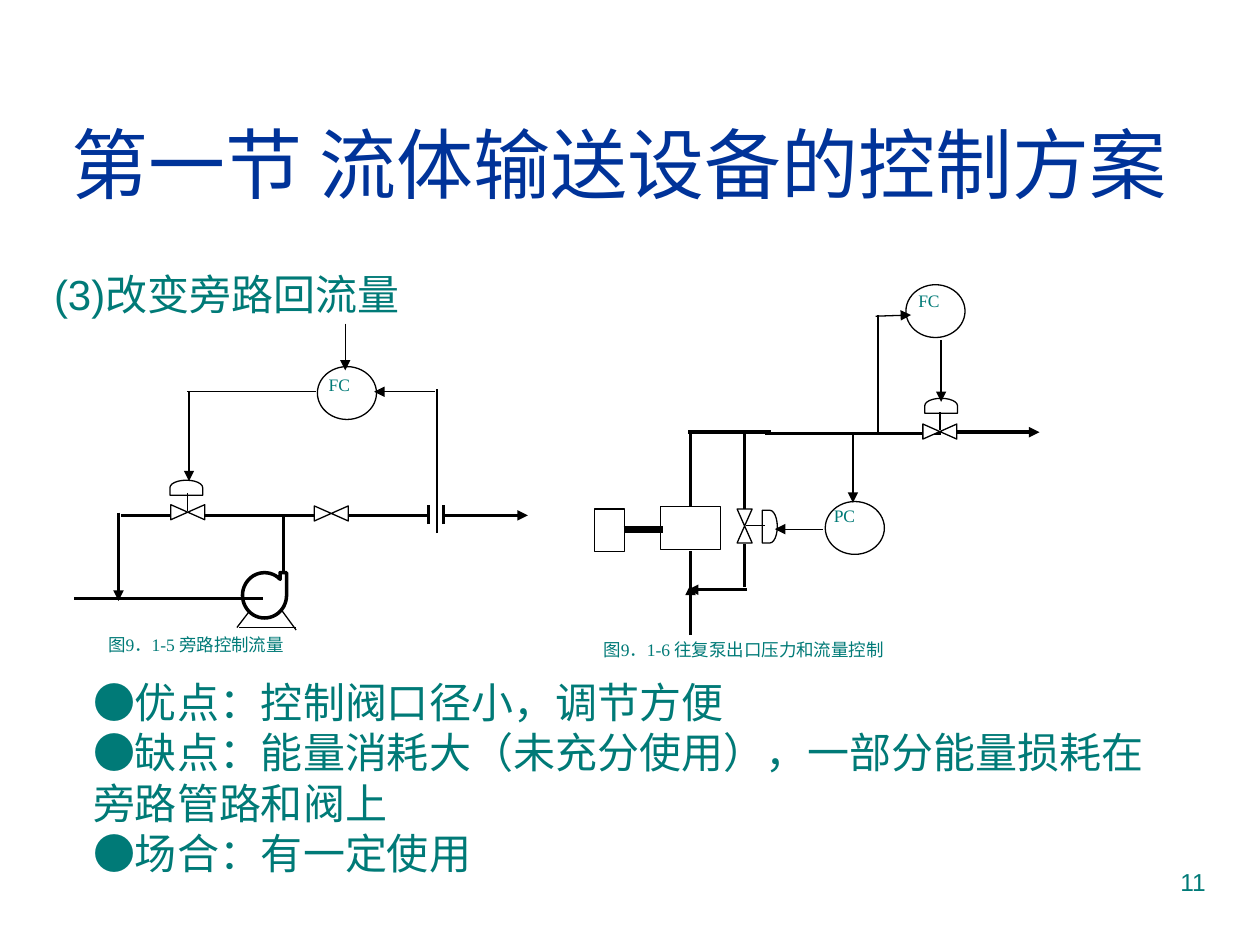
from lxml import etree
from pptx import Presentation
from pptx.dml.color import RGBColor
from pptx.enum.shapes import MSO_CONNECTOR, MSO_SHAPE
from pptx.enum.text import MSO_ANCHOR, MSO_AUTO_SIZE, PP_ALIGN
from pptx.oxml.ns import qn
from pptx.util import Pt

STRAIGHT = MSO_CONNECTOR.STRAIGHT
LEFT, CENTER, RIGHT = PP_ALIGN.LEFT, PP_ALIGN.CENTER, PP_ALIGN.RIGHT
COLORS = {"title": "003399", "text": "007A77", "line": "000000", "fill": "FFFFFF"}
SANS, SERIF = "Arial", "Times New Roman"
THIN, PIPE, SHAFT = 0.75, 2, 4

TITLE = "第一节 流体输送设备的控制方案"
HEADING = ["(3)改变旁路回流量"]
POINTS = [
    "●优点：控制阀口径小，调节方便",
    "●缺点：能量消耗大（未充分使用），一部分能量损耗在旁路管路和阀上",
    "●场合：有一定使用",
]

# kind: preset, width, height, line width
SYMBOLS = {
    "pump": (MSO_SHAPE.FLOWCHART_SEQUENTIAL_ACCESS_STORAGE, 25.9, 25.2, PIPE),
    "controller": (MSO_SHAPE.OVAL, 33.8, 30.2, THIN),
    "valve": (MSO_SHAPE.FLOWCHART_COLLATE, 8.6, 19.4, THIN),
    "actuator": (MSO_SHAPE.FLOWCHART_DELAY, 8.6, 18.7, THIN),
    "cylinder": (MSO_SHAPE.RECTANGLE, 34.6, 24.5, THIN),
    "motor": (MSO_SHAPE.RECTANGLE, 17.3, 24.5, THIN),
}

BYPASS_FIGURE = {
    "pipes": [
        (113, 294.5, 180.7, 294.5),
        (162, 295.2, 162, 326.9),
        (252.7, 294.5, 301.7, 294.5, "arrow"),
        (198.7, 294.5, 244.8, 294.5),
        (244.8, 299.5, 244.8, 288.7),
        (253.4, 299.5, 253.4, 288.7),
        (67.7, 293, 67.7, 343.4, "arrow"),
        (69.1, 294.5, 97.2, 294.5),
    ],
    "symbols": [
        ("pump", 138.2, 327.6, 270),
        ("controller", 181.4, 209.5, 0),
        ("valve", 103, 283, 90),
        ("actuator", 102.2, 269.3, 270),
        ("valve", 185, 283.7, 90),
    ],
    "front": (PIPE, (42.5, 342, 150.5, 342)),
    "signals": [
        (142.6, 349.2, 135.4, 358.6),
        (161.3, 349.2, 169.2, 360),
        (136.8, 358.6, 169.2, 358.6),
        (249.8, 304.6, 249.8, 222.5),
        (248.4, 223.9, 213.8, 223.9, "arrow"),
        (180.7, 223.9, 106.6, 223.9),
        (197.3, 185, 197.3, 211.7, "arrow"),
        (108, 223.9, 108, 275, "arrow"),
        (107.3, 292.3, 107.3, 281.5),
    ],
    "labels": [
        ("FC", 180.7, 210.2, 38.2, 36),
        ("图9．1-5 旁路控制流量", 54.7, 358.6, 211.7, 36.7),
    ],
}

RECIPROCATING_FIGURE = {
    "pipes": [
        (545, 247, 594, 247, "arrow"),
        (437, 247.7, 537.8, 247.7),
        (425.5, 294.5, 425.5, 246.2),
        (440.6, 247, 393.1, 247),
        (394.6, 362.9, 394.6, 334.1, "arrow"),
        (427, 337, 393.1, 337, "arrow"),
        (425.5, 335.5, 425.5, 311),
        (394.6, 335.5, 394.6, 314.6),
        (394.6, 289.4, 394.6, 246.2),
    ],
    "symbols": [
        ("controller", 517.7, 162.7, 0),
        ("controller", 471.6, 286.6, 0),
        ("valve", 421.2, 290.9, 0),
        ("actuator", 435.6, 291.6, 0),
        ("cylinder", 377.3, 289.4, 0),
        ("motor", 339.8, 290.9, 0),
        ("valve", 532.8, 236.9, 270),
        ("actuator", 533.5, 222.5, 270),
    ],
    "front": (SHAFT, (356.4, 302.4, 378.7, 302.4)),
    "signals": [
        (470.2, 302.4, 442.8, 302.4, "arrow"),
        (537.8, 194.4, 537.8, 229.7, "arrow"),
        (487.4, 247.7, 487.4, 287.3, "arrow"),
        (426.2, 300.2, 437, 300.2),
        (537.1, 245.5, 537.1, 235.4),
        (500.4, 180.7, 520.6, 180, "arrow"),
        (501.8, 180, 501.8, 247.7),
    ],
    "labels": [
        ("FC", 517.7, 162, 38.9, 38.2),
        ("PC", 469.4, 285.1, 40.3, 36.7),
        ("图9．1-6 往复泵出口压力和流量控制", 337.7, 361.4, 303.1, 40.3),
    ],
}


def color(name):
    return RGBColor.from_string(COLORS[name])


def write(frame, lines, size, font, name="text", align=LEFT):
    frame.word_wrap = True
    frame.auto_size = MSO_AUTO_SIZE.NONE
    frame.text = "\n".join(lines)
    for paragraph in frame.paragraphs:
        paragraph.alignment = align
        paragraph.font.size = Pt(size)
        paragraph.font.name = font
        paragraph.font.color.rgb = color(name)


def add_text(slide, lines, box, size, font, align=LEFT):
    shape = slide.shapes.add_textbox(*map(Pt, box))
    write(shape.text_frame, lines, size, font, align=align)


def add_line(slide, line, width):
    connector = slide.shapes.add_connector(STRAIGHT, *map(Pt, line[:4]))
    connector.line.color.rgb = color("line")
    connector.line.width = Pt(width)
    if "arrow" in line:
        etree.SubElement(connector.line._get_or_add_ln(), qn("a:tailEnd"), type="triangle")
    etree.SubElement(connector._element.spPr, qn("a:effectLst"))


def add_symbol(slide, kind, left, top, rotation):
    preset, width, height, line_width = SYMBOLS[kind]
    shape = slide.shapes.add_shape(preset, Pt(left), Pt(top), Pt(width), Pt(height))
    shape.rotation = rotation
    shape.shadow.inherit = False
    shape.fill.solid()
    shape.fill.fore_color.rgb = color("fill")
    shape.line.color.rgb = color("line")
    shape.line.width = Pt(line_width)


def add_figure(slide, figure):
    for line in figure["pipes"]:
        add_line(slide, line, PIPE)
    for symbol in figure["symbols"]:
        add_symbol(slide, *symbol)
    width, line = figure["front"]
    add_line(slide, line, width)
    for line in figure["signals"]:
        add_line(slide, line, THIN)
    for text, *box in figure["labels"]:
        add_text(slide, [text], box, 10, SERIF)


def main():
    """Build the slide on flow control by bypass."""
    presentation = Presentation()
    presentation.slide_width, presentation.slide_height = Pt(720), Pt(540)
    slide = presentation.slides.add_slide(presentation.slide_layouts[5])
    title = slide.shapes.title
    title.left, title.top, title.width, title.height = map(Pt, (18, 48.2, 672.5, 90))
    write(title.text_frame, [TITLE], 44, SANS, "title", CENTER)
    title.text_frame.vertical_anchor = MSO_ANCHOR.MIDDLE
    add_text(slide, HEADING, (23.8, 149.8, 672.5, 36), 24, SANS)
    for figure in (BYPASS_FIGURE, RECIPROCATING_FIGURE):
        add_figure(slide, figure)
    add_text(slide, POINTS, (46.1, 383, 636.5, 122.4), 24, SANS)
    add_text(slide, ["11"], (516.2, 491.8, 180, 37.4), 14, SANS, RIGHT)
    presentation.save("out.pptx")


if __name__ == "__main__":
    main()
